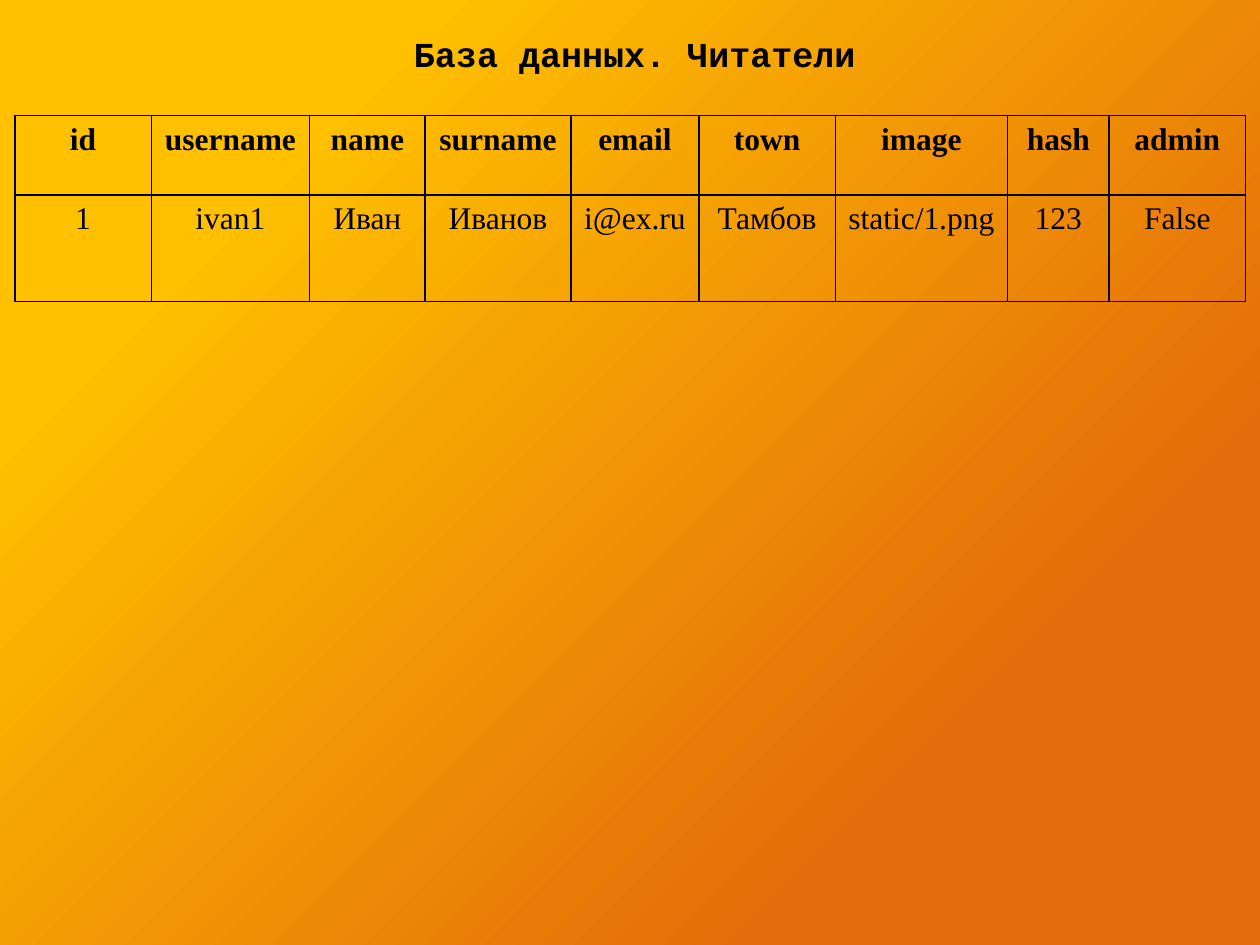
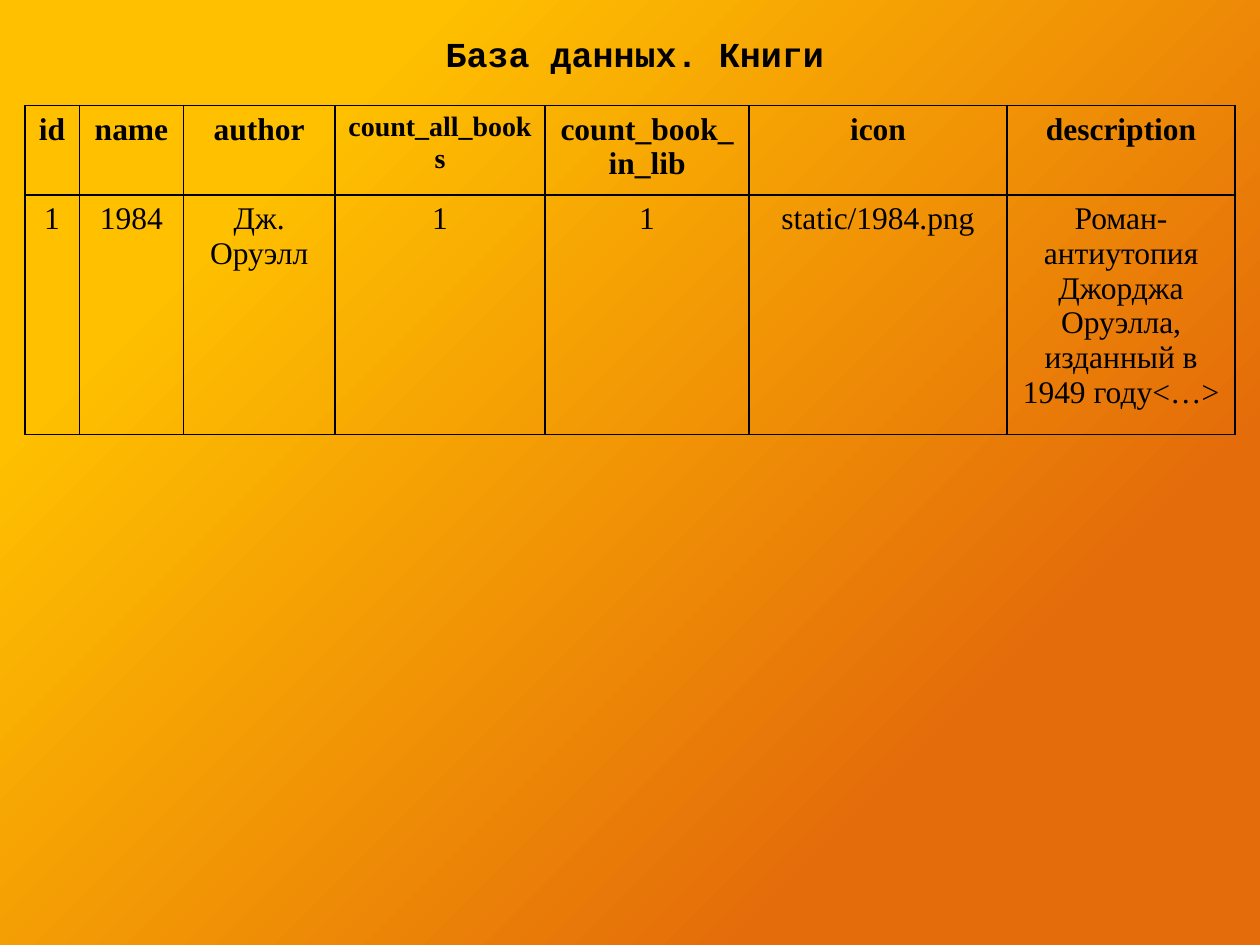
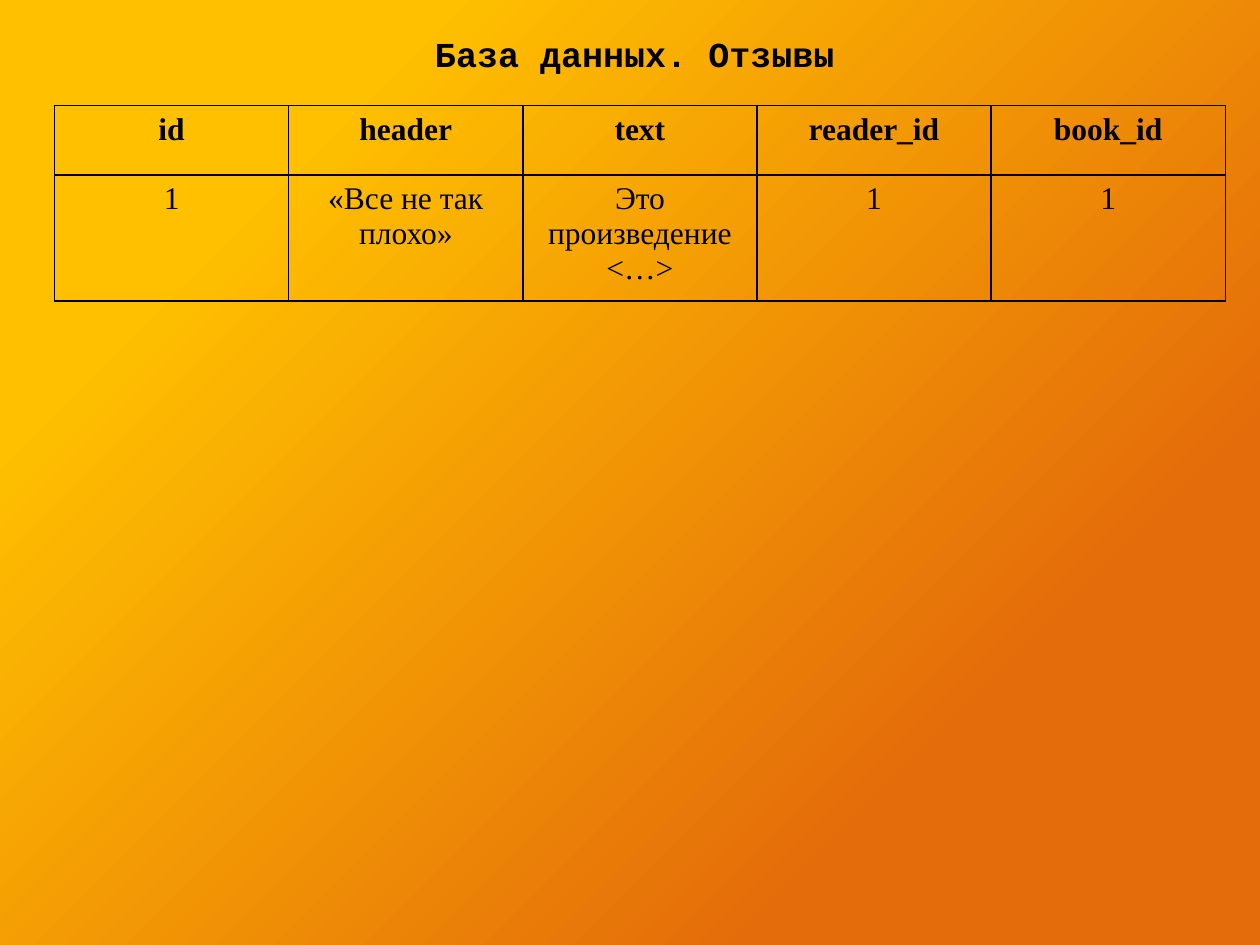
from dataclasses import dataclass

from lxml.etree import SubElement
from pptx import Presentation
from pptx.dml.color import RGBColor
from pptx.enum.text import MSO_AUTO_SIZE, PP_ALIGN
from pptx.oxml import parse_xml
from pptx.oxml.ns import nsdecls, qn
from pptx.util import Cm, Pt


@dataclass(frozen=True)
class Theme:
    """Colours, fonts and type sizes of the deck."""
    ink: str = "000000"
    warm: tuple = ((0.23, "E46C0A"), (0.8, "FFC000"))
    mono: str = "Courier New"
    serif: str = "Times New Roman"
    head: int = 20
    body: int = 18
    small: int = 16
    rule: int = 1


THEME = Theme()

READERS = (
    ("id", "username", "name", "surname", "email", "town", "image", "hash", "admin"),
    ("1", "ivan1", "Иван", "Иванов", "i@ex.ru", "Тамбов", "static/1.png", "123", "False"),
)
BOOKS = (
    ("id", "name", "author", "count_all_books", "count_book_in_lib", "icon", "description"),
    ("1", "1984", "Дж. Оруэлл", "1", "1", "static/1984.png",
     "Роман-антиутопия Джорджа Оруэлла, изданный в 1949 году<…>"),
)
REVIEWS = (
    ("id", "header", "text", "reader_id", "book_id"),
    ("1", "«Все не так плохо»", "Это произведение <…>", "1", "1"),
)


def paint(master):
    """Give every slide the gradient that spreads from the lower right corner."""
    fill = master.background.fill
    fill.gradient()
    for stop, (place, tone) in zip(fill.gradient_stops, THEME.warm):
        stop.position = place
        stop.color.rgb = RGBColor.from_string(tone)
    grad = master.element.find(".//" + qn("a:gradFill"))
    grad.remove(grad.find(qn("a:lin")))
    route = SubElement(grad, qn("a:path"), path="circle")
    SubElement(route, qn("a:fillToRect"), l="100000", t="100000")
    SubElement(grad, qn("a:tileRect"), r="-100000", b="-100000")


def write(frame, text, face, size, bold):
    """Set centred text and format its run."""
    frame.text = text
    par = frame.paragraphs[0]
    par.alignment = PP_ALIGN.CENTER
    font = par.runs[0].font
    font.name, font.size, font.bold = face, Pt(size), bold
    font.color.rgb = RGBColor.from_string(THEME.ink)


def add_title(slide, text):
    """Add the slide heading."""
    frame = slide.shapes.add_textbox(Cm(3.3), Cm(0.53), Cm(19), Cm(1.12)).text_frame
    frame.word_wrap = True
    frame.auto_size = MSO_AUTO_SIZE.SHAPE_TO_FIT_TEXT
    write(frame, text, THEME.mono, THEME.head, True)


def edge(cell):
    """Draw a thin line on all four sides of a cell."""
    props = cell._tc.get_or_add_tcPr()
    for spot, side in enumerate("LRTB"):
        props.insert(spot, parse_xml(
            f'<a:ln{side} {nsdecls("a")} w="{Pt(THEME.rule)}"><a:solidFill>'
            f'<a:srgbClr val="{THEME.ink}"/></a:solidFill></a:ln{side}>'))


def add_grid(slide, left, top, widths, heights, data):
    """Add a clear table with a bold first row."""
    grid = slide.shapes.add_table(
        len(heights), len(widths), Cm(left), Cm(top),
        Cm(sum(widths)), Cm(sum(heights))).table
    grid.first_row = grid.horz_banding = False
    for col, width in zip(grid.columns, widths):
        col.width = Cm(width)
    for row, height, texts in zip(grid.rows, heights, data):
        row.height = Cm(height)
        for cell, text in zip(row.cells, texts):
            size = THEME.small if text == "count_all_books" else THEME.body
            write(cell.text_frame, text, THEME.serif, size, texts is data[0])
            cell.fill.background()
            edge(cell)


def main():
    """Build the three database slides."""
    deck = Presentation()
    deck.slide_width, deck.slide_height = Cm(25.4), Cm(19.05)
    paint(deck.slide_master)
    pages = (
        ("Читатели", 0.3, 2.33,
         (2.75, 3.19, 2.33, 2.94, 2.58, 2.75, 3.47, 2.05, 2.75), (1.6, 2.15), READERS),
        ("Книги", 0.5, 2.13,
         (1.1, 2.1, 3.05, 4.24, 4.11, 5.2, 4.6), (1.8, 4.83), BOOKS),
        ("Отзывы", 1.1, 2.13, (4.72,) * 5, (1.4, 2.54), REVIEWS),
    )
    for name, *table in pages:
        slide = deck.slides.add_slide(deck.slide_layouts[6])
        add_title(slide, f"База данных. {name}")
        add_grid(slide, *table)
    deck.save("out.pptx")


if __name__ == "__main__":
    main()
